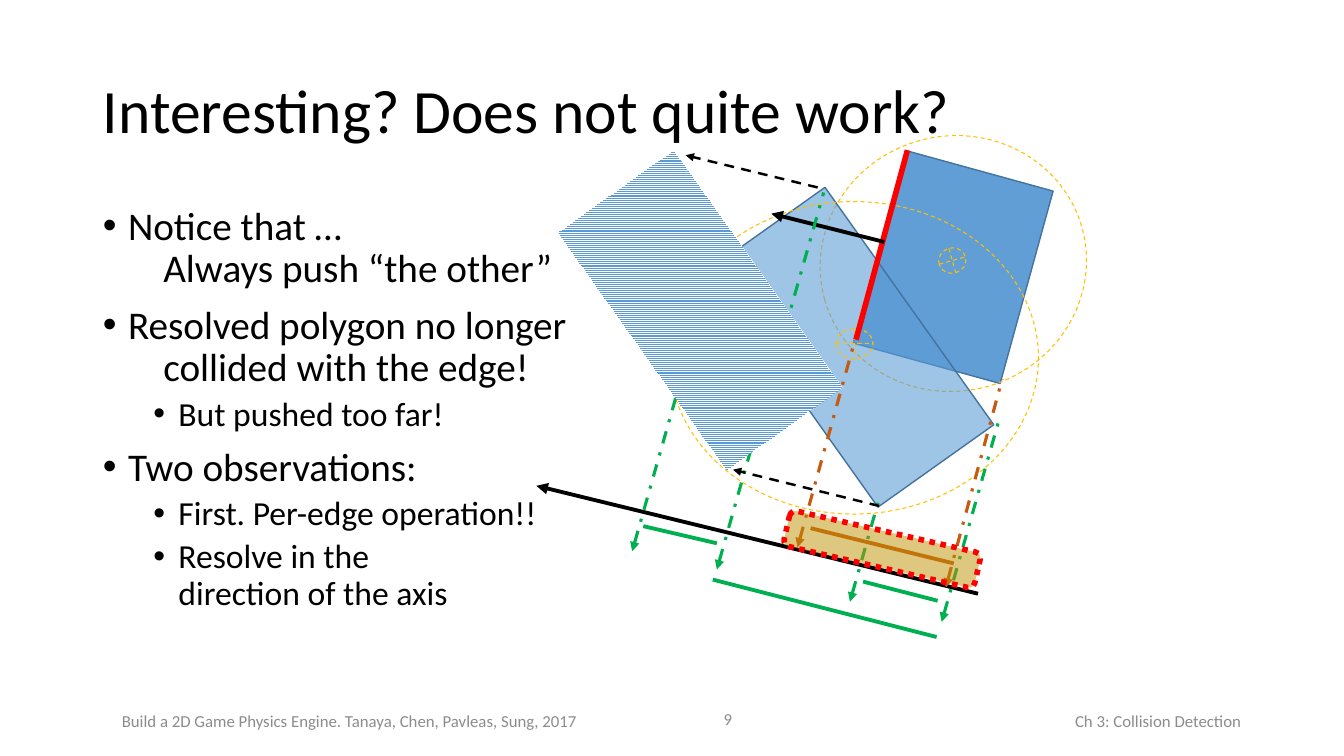
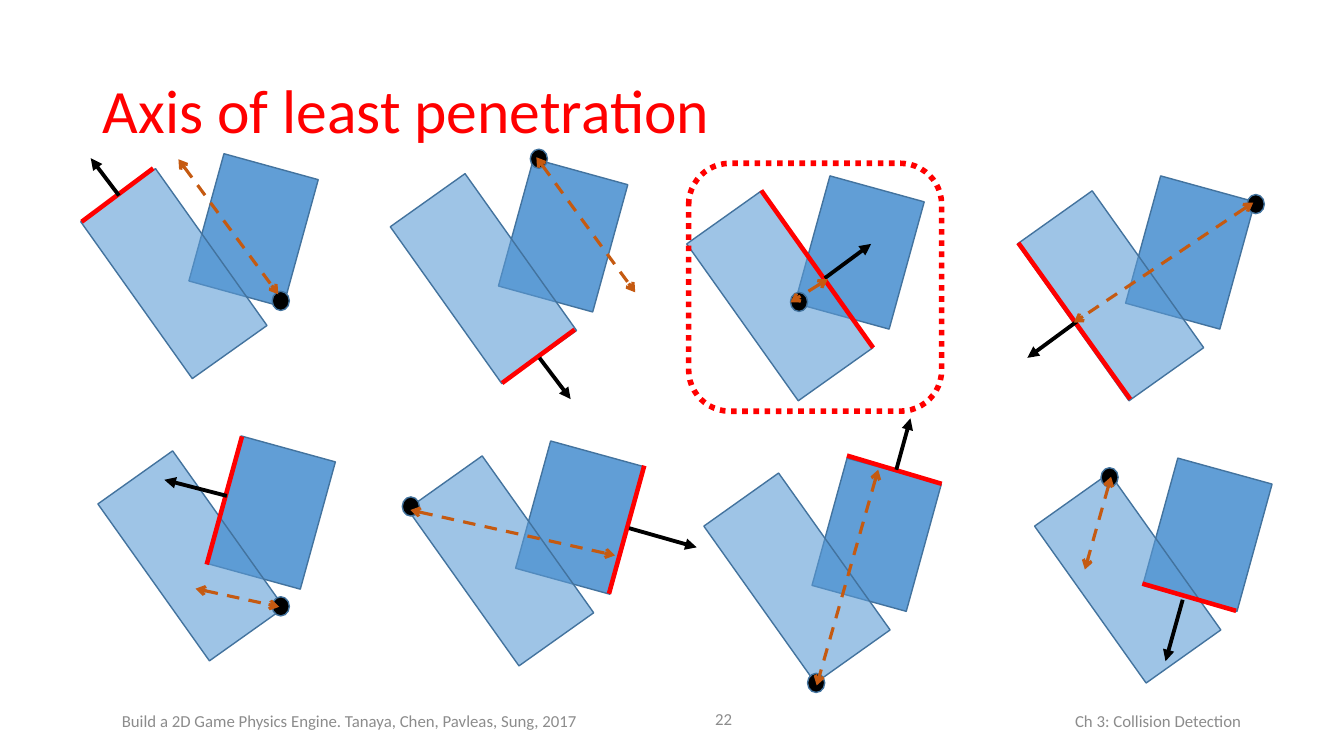
from lxml.etree import SubElement
from pptx import Presentation
from pptx.dml.color import RGBColor
from pptx.enum.dml import MSO_LINE, MSO_PATTERN
from pptx.enum.shapes import MSO_CONNECTOR, MSO_SHAPE
from pptx.enum.text import MSO_ANCHOR, MSO_AUTO_SIZE, PP_ALIGN
from pptx.oxml.ns import qn
from pptx.util import Pt

PX = 9144
FONT = "Calibri"
COLORS = {
    "black": "000000", "white": "FFFFFF", "grey": "8C8C8C", "red": "FF0000",
    "blue": "5B9BD5", "navy": "43739E", "amber": "FFC000", "gold": "BF9000",
    "orange": "C55A11", "green": "00B050",
}
TITLE_BOX = (92, 40, 1150, 145)
BODY_BOX = (92, 200, 1150, 476)
FIGURE_BOX = (530, 130, 550, 510)
DARK_TILT, LIGHT_TILT, BAND_TILT = 15.4, 324.6, 12.9
TOP, LEFT, BOTTOM, RIGHT = range(4)

DARK = dict(fill="blue", alpha=96, line="navy", tilt=DARK_TILT)
LIGHT = dict(fill="blue", alpha=59, line="navy", tilt=LIGHT_TILT)
BOUND = dict(line="amber", width=0.75, dash=MSO_LINE.DASH)
MARKED = dict(line="red", width=4, dash=MSO_LINE.ROUND_DOT)
NORMAL = dict(color="black", width=2.75, tail="triangle")
PUSH = dict(color="black", width=1.75, dash=MSO_LINE.DASH, tail="triangle")
PROJECTION = dict(width=2.25, dash=MSO_LINE.DASH_DOT, head="triangle")
DEPTH = dict(color="orange", width=2.25, dash=MSO_LINE.DASH, head="arrow", tail="arrow")

OBSERVATIONS = [
    ("Notice that …", 0, True),
    ("Always push “the other”", 0, False),
    ("Resolved polygon no longer", 0, True),
    ("collided with the edge!", 0, False),
    ("But pushed too far!", 1, True),
    ("Two observations:", 0, True),
    ("First. Per-edge operation!!", 1, True),
    ("Resolve in the", 1, True),
    ("direction of the axis", 1, False),
]
ROW_SHIFT = (17, 280)
SCENE_ORIGINS = [(127, 176), (434, 181), (728, 198), (1056, 198)]
SCENES = [
    ((-46, 44, 25, -9), (-9, 18, -37, -19), (143, 113), (50, -18, 149, 116), "light", TOP),
    ((64, 199, 136, 146), (101, 174, 132, 215), (92, -33), (98, -25, 196, 109), "light", BOTTOM),
    ((27, -9, 138, 147), (90, 78, 136, 44), (56, 92), (93, 79, 56, 102), "light", None),
    ((-46, 43, 65, 198), (12, 121, -37, 157), (181, -5), (187, 3, 9, 122), "light", LEFT),
    ((61, 104, 96, -23), (81, 36, 19, 20), (126, 136), (50, 128, 133, 146), "dark", LEFT),
    ((153, 128, 188, 1), (173, 63, 240, 82), (-52, 32), (-44, 45, 159, 90), "dark", RIGHT),
    ((189, 2, 95, -26), (144, -12, 158, -63), (56, 190), (126, -12, 65, 202), "dark", TOP),
    ((153, 128, 60, 101), (100, 117, 83, 178), (19, -14), (29, -5, 3, 87), "dark", None),
]


def rgb(name):
    return RGBColor.from_string(COLORS[name])


def scaled(*lengths):
    return [length * PX for length in lengths]


def write(para, text, size=12, color="black", align=PP_ALIGN.LEFT, spacing=None, before=0):
    para.alignment = align
    para.space_before = Pt(before)
    if spacing:
        para.line_spacing = spacing
    span = para.add_run()
    span.text = text
    span.font.name = FONT
    span.font.size = Pt(size)
    span.font.color.rgb = rgb(color)


def style_line(line, color, width, dash=None):
    line.color.rgb = rgb(color)
    line.width = Pt(width)
    if dash:
        line.dash_style = dash


def add_figure(page, origin, kind, box, fill=None, alpha=None, line=None, width=1,
               dash=None, tilt=0):
    left, top, wide, high = box
    shape = page.shapes.add_shape(
        kind, *scaled(origin[0] + left, origin[1] + top, wide, high))
    shape.shadow.inherit = False
    shape.rotation = tilt
    if fill:
        shape.fill.solid()
        shape.fill.fore_color.rgb = rgb(fill)
    else:
        shape.fill.background()
    if alpha:
        tint = shape.fill._xPr.find(qn("a:solidFill"))[0]
        SubElement(tint, qn("a:alpha"), val=str(alpha * 1000))
    if line:
        style_line(shape.line, line, width, dash)
    else:
        shape.line.fill.background()
    return shape


def add_line(page, origin, ends, color, width, dash=None, head=None, tail=None, joined=None):
    x, y = origin
    start_x, start_y, end_x, end_y = scaled(
        x + ends[0], y + ends[1], x + ends[2], y + ends[3])
    connector = page.shapes.add_connector(
        MSO_CONNECTOR.STRAIGHT, start_x, start_y, end_x, end_y)
    if joined:
        connector.begin_connect(*joined)
        connector.begin_x, connector.begin_y = start_x, start_y
    style_line(connector.line, color, width, dash)
    outline = connector.line._get_or_add_ln()
    for tag, arrow in (("a:headEnd", head), ("a:tailEnd", tail)):
        if arrow:
            SubElement(outline, qn(tag), type=arrow)
    SubElement(connector._element.spPr, qn("a:effectLst"))


def place_frame(shape, box, anchor):
    shape.left, shape.top, shape.width, shape.height = scaled(*box)
    frame = shape.text_frame
    frame.word_wrap = True
    frame.auto_size = MSO_AUTO_SIZE.NONE
    frame.vertical_anchor = anchor
    return frame


def add_footers(page, number):
    for text, box, align in (
        ("Ch 3: Collision Detection", (760, 695, 481, 40), PP_ALIGN.RIGHT),
        ("Build a 2D Game Physics Engine. Tanaya, Chen, Pavleas, Sung, 2017",
         (111, 695, 505, 40), PP_ALIGN.LEFT),
        (str(number), (617, 693, 119, 40), PP_ALIGN.RIGHT),
    ):
        footer = page.shapes.add_textbox(*scaled(*box))
        frame = place_frame(footer, box, MSO_ANCHOR.MIDDLE)
        write(frame.paragraphs[0], text, color="grey", align=align)


def add_page(deck, layout, title, number, color="black"):
    page = deck.slides.add_slide(deck.slide_layouts[layout])
    frame = place_frame(page.shapes.title, TITLE_BOX, MSO_ANCHOR.MIDDLE)
    write(frame.paragraphs[0], title, size=44, color=color, spacing=0.9)
    add_footers(page, number)
    return page


def add_observations(page, box):
    frame = place_frame(page.placeholders[1], box, MSO_ANCHOR.TOP)
    for index, (text, level, bulleted) in enumerate(OBSERVATIONS):
        para = frame.add_paragraph() if index else frame.paragraphs[0]
        para.level = level
        before = (10, 5)[level] if bulleted else 0
        write(para, text, size=(28, 24)[level], spacing=0.9, before=before)
        margin = (25, 75)[level] if bulleted else (60, 75)[level]
        settings = para._p.get_or_add_pPr()
        settings.set("marL", str(margin * PX))
        settings.set("indent", str(-25 * PX if bulleted else 0))
        if bulleted:
            SubElement(settings, qn("a:buFont"), typeface="Arial")
            SubElement(settings, qn("a:buChar"), char="•")
        else:
            SubElement(settings, qn("a:buNone"))


def add_projection_figure(page, box):
    origin = box[:2]
    dark = add_figure(page, origin, MSO_SHAPE.RECTANGLE, (340, 36, 151, 198), **DARK)
    add_figure(page, origin, MSO_SHAPE.OVAL, (283, 5, 265, 253), tilt=344.4, **BOUND)
    add_figure(page, origin, MSO_SHAPE.FLOWCHART_OR, (401, 116, 27, 25), tilt=344.4, **BOUND)
    add_figure(page, origin, MSO_SHAPE.RECTANGLE, (244, 70, 141, 289), **LIGHT)
    add_figure(page, origin, MSO_SHAPE.OVAL, (134, 70, 366, 310), **BOUND)
    add_figure(page, origin, MSO_SHAPE.FLOWCHART_OR, (299, 196, 37, 30), **BOUND)
    add_line(page, origin, (319, 207, 370, 19), "red", 4)
    add_line(page, origin, (347, 110, 235, 82), joined=(dark, LEFT), **NORMAL)
    add_line(page, origin, (440, 459, 2, 352), **NORMAL)
    for color, ends in (
        ("orange", (261, 413, 318, 207)),
        ("green", (404, 487, 461, 286)),
        ("orange", (408, 453, 464, 246)),
        ("green", (313, 467, 341, 368)),
        ("green", (181, 435, 287, 61)),
        ("green", (97, 417, 179, 128)),
    ):
        add_line(page, origin, ends, color, **PROJECTION)
    for color, ends in (
        ("orange", (416, 429, 274, 394)),
        ("green", (181, 409, 108, 392)),
        ("green", (400, 466, 326, 447)),
        ("green", (399, 502, 177, 445)),
    ):
        add_line(page, origin, ends, color, 2.75)
    add_figure(page, origin, MSO_SHAPE.ROUNDED_RECTANGLE, (248, 397, 194, 36),
               fill="gold", alpha=50, tilt=BAND_TILT, **MARKED)
    pushed = add_figure(page, origin, MSO_SHAPE.RECTANGLE, (94, 33, 141, 289), tilt=LIGHT_TILT)
    pushed.fill.patterned()
    pushed.fill.pattern = MSO_PATTERN.LIGHT_HORIZONTAL
    pushed.fill.fore_color.rgb = rgb("blue")
    pushed.fill.back_color.rgb = rgb("white")
    for ends in ((281, 56, 150, 24), (342, 372, 197, 336)):
        add_line(page, origin, ends, **PUSH)


def add_scene(page, origin, edge, normal, support, depth, owner, side):
    polygons = {
        "dark": add_figure(page, origin, MSO_SHAPE.RECTANGLE, (76, -13, 97, 131), **DARK),
        "light": add_figure(page, origin, MSO_SHAPE.RECTANGLE, (0, 0, 91, 191), **LIGHT),
    }
    joined = None if side is None else (polygons[owner], side)
    add_line(page, origin, edge, "red", 3.25)
    add_figure(page, origin, MSO_SHAPE.OVAL, (*support, 17, 19), fill="black", line="navy")
    add_line(page, origin, normal, joined=joined, **NORMAL)
    add_line(page, origin, depth, **DEPTH)


def build_observation_page(deck):
    page = add_page(deck, 1, "Interesting? Does not quite work?", 9)
    add_observations(page, BODY_BOX)
    add_projection_figure(page, FIGURE_BOX)


def build_axis_page(deck):
    page = add_page(deck, 5, "Axis of least penetration", 22, color="red")
    for index, scene in enumerate(SCENES):
        row, column = divmod(index, len(SCENE_ORIGINS))
        left, top = SCENE_ORIGINS[column]
        add_scene(page, (left + row * ROW_SHIFT[0], top + row * ROW_SHIFT[1]), *scene)
    add_figure(page, SCENE_ORIGINS[2], MSO_SHAPE.ROUNDED_RECTANGLE,
               (-45, -36, 251, 246), **MARKED)


def main():
    deck = Presentation()
    deck.slide_width, deck.slide_height = scaled(1333, 750)
    build_observation_page(deck)
    build_axis_page(deck)
    deck.save("out.pptx")


if __name__ == "__main__":
    main()
